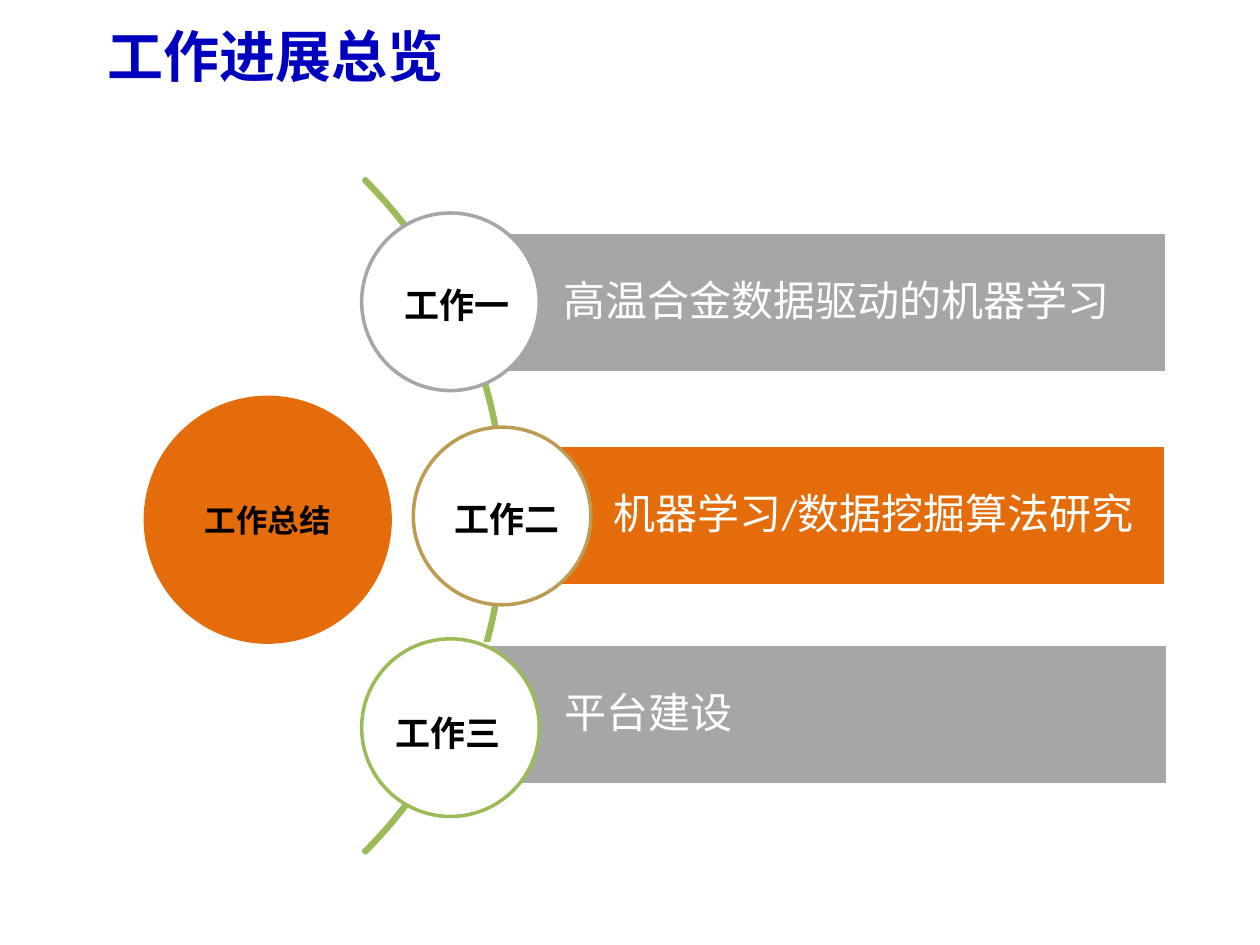
import pptx
import pptx.dml.color
import pptx.enum.shapes
import pptx.enum.text
import pptx.util
from pptx.util import Inches

SHAPES = pptx.enum.shapes.MSO_SHAPE
ALIGN = pptx.enum.text.PP_ALIGN
MIDDLE = pptx.enum.text.MSO_ANCHOR.MIDDLE

BLUE, ORANGE, GREY = "0000BF", "E46C0A", "A6A6A6"
GREEN, GOLD, WHITE, BLACK = "9BBB59", "BD9B53", "FFFFFF", "000000"


def color(hex_string):
    return pptx.dml.color.RGBColor.from_string(hex_string)


class Overview:
    """Holds the body font and the slide that elements are added to."""

    font = "Calibri"

    def __init__(self, slide):
        self.slide = slide

    def set_text(self, frame, text, size, ink, bold=False, align=ALIGN.LEFT, font=None):
        paragraph = frame.paragraphs[0]
        paragraph.text = text
        paragraph.alignment = align
        paragraph.font.name = font or self.font
        paragraph.font.size = pptx.util.Pt(size)
        paragraph.font.bold = bold
        paragraph.font.color.rgb = color(ink)
        return paragraph

    def title(self, text):
        title = self.slide.shapes.title
        title.left, title.top = Inches(0.75), Inches(0)
        title.width, title.height = Inches(9), Inches(0.87)
        title.text_frame.vertical_anchor = MIDDLE
        self.set_text(title.text_frame, text, 32, BLUE, bold=True, font="Noto Sans CJK SC")

    def shape(self, kind, left, top, width, height, fill=None, line=None):
        shape = self.slide.shapes.add_shape(
            kind, Inches(left), Inches(top), Inches(width), Inches(height))
        shape.shadow.inherit = False
        if fill:
            shape.fill.solid()
            shape.fill.fore_color.rgb = color(fill)
        else:
            shape.fill.background()
        if line:
            shape.line.color.rgb = color(line)
            shape.line.width = pptx.util.Pt(2)
        else:
            shape.line.fill.background()
        return shape

    def circle(self, left, top, diameter, fill, line=None):
        return self.shape(SHAPES.OVAL, left, top, diameter, diameter, fill, line)

    def hub(self, text):
        hub = self.circle(1.14, 3.14, 1.97, ORANGE)
        hub.text_frame.vertical_anchor = MIDDLE
        self.set_text(hub.text_frame, text, 18, BLACK, bold=True, align=ALIGN.CENTER)

    def arc(self):
        arc = self.shape(SHAPES.BLOCK_ARC, -3.56, 0.31, 7.57, 7.57, line=GREEN)
        # Start and end angles (315 and 45 degrees), then the band thickness
        for index, value in enumerate((189, 27, 0.003)):
            arc.adjustments[index] = value

    def bar(self, left, top, width, fill, text):
        bar = self.shape(SHAPES.RECTANGLE, left, top, width, 1.12, fill, WHITE)
        frame = bar.text_frame
        frame.word_wrap = True
        frame.vertical_anchor = MIDDLE
        frame.margin_left = Inches(0.89)
        frame.margin_top = frame.margin_right = frame.margin_bottom = Inches(0.07)
        self.set_text(frame, text, 24, WHITE).line_spacing = 0.9

    def label(self, left, top, width, text):
        box = self.slide.shapes.add_textbox(
            Inches(left), Inches(top), Inches(width), Inches(0.44))
        box.text_frame.word_wrap = True
        self.set_text(box.text_frame, text, 20, BLACK, bold=True)


def main():
    deck = pptx.Presentation()
    deck.slide_width, deck.slide_height = Inches(10), Inches(7.5)
    overview = Overview(deck.slides.add_slide(deck.slide_layouts[5]))

    overview.title("工作进展总览")
    overview.hub("工作总结")
    overview.arc()

    # Each task: bar (left, top, width, fill, text), circle (left, top, line),
    # label (left, top, width, text)
    tasks = [
        ((3.58, 1.84, 5.68, GREY, "高温合金数据驱动的机器学习"),
         (2.87, 1.69, GREY), (3.11, 2.2, 1.11, "工作一")),
        ((3.98, 3.53, 5.27, ORANGE, "机器学习/数据挖掘算法研究"),
         (3.28, 3.39, GOLD), (3.51, 3.9, 1.06, "工作二")),
        ((3.59, 5.11, 5.68, GREY, "平台建设"),
         (2.87, 5.07, GREEN), (3.04, 5.6, 1.18, "工作三")),
    ]
    for bar, (left, top, line), label in tasks:
        overview.bar(*bar)
        overview.circle(left, top, 1.41, WHITE, line)
        overview.label(*label)

    deck.save("out.pptx")


if __name__ == "__main__":
    main()
